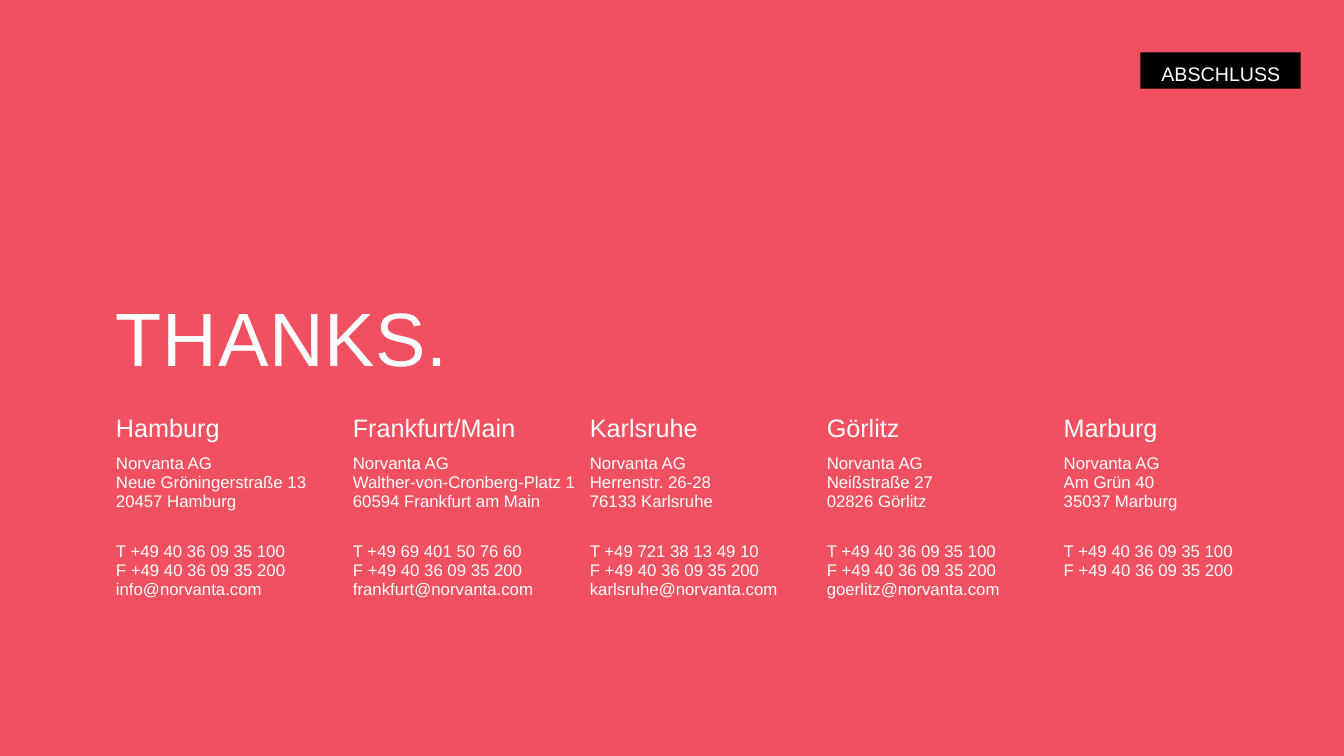
"""Build the closing slide with a thank-you title and the office addresses."""
from pptx import Presentation
from pptx.dml.color import RGBColor
from pptx.enum.shapes import MSO_SHAPE
from pptx.enum.text import MSO_ANCHOR, MSO_AUTO_SIZE, PP_ALIGN
from pptx.oxml.ns import qn
from pptx.util import Inches, Pt

RECTANGLE = MSO_SHAPE.RECTANGLE
TOP, BOTTOM = MSO_ANCHOR.TOP, MSO_ANCHOR.BOTTOM
GROW = MSO_AUTO_SIZE.SHAPE_TO_FIT_TEXT
LEFT, RIGHT = PP_ALIGN.LEFT, PP_ALIGN.RIGHT
NO_STYLE_NO_GRID = "{2D5ABB26-0587-4C30-8999-92F81FD0307C}"
CORAL, BLACK, WHITE = "F15060", "000000", "FFFFFF"
COMPANY = "Norvanta AG"
FAX = "F +49 40 36 09 35 200"


def color(value):
    """Turn a hex string into a colour."""
    return RGBColor.from_string(value)


def write(frame, lines, size, **formats):
    """Fill a text frame with one white paragraph per line."""
    for index, line in enumerate(lines):
        para = frame.paragraphs[0] if index == 0 else frame.add_paragraph()
        for name, value in formats.items():
            setattr(para, name, value)
        span = para.add_run()
        span.text = line
        for name, value in {"name": "Arial", "size": Pt(size)}.items():
            setattr(span.font, name, value)
        span.font.color.rgb = color(WHITE)


offices = [
    ("Hamburg",
     ["Neue Gröningerstraße 13", "20457 Hamburg"],
     ["T +49 40 36 09 35 100", FAX, "info@norvanta.com"]),
    ("Frankfurt/Main",
     ["Walther-von-Cronberg-Platz 1", "60594 Frankfurt am Main"],
     ["T +49 69 401 50 76 60", FAX, "frankfurt@norvanta.com"]),
    ("Karlsruhe",
     ["Herrenstr. 26-28", "76133 Karlsruhe"],
     ["T +49 721 38 13 49 10", FAX, "karlsruhe@norvanta.com"]),
    ("Görlitz",
     ["Neißstraße 27", "02826 Görlitz"],
     ["T +49 40 36 09 35 100", FAX, "goerlitz@norvanta.com"]),
    ("Marburg",
     ["Am Grün 40", "35037 Marburg"],
     ["T +49 40 36 09 35 100", FAX]),
]

deck = Presentation()
deck.slide_width, deck.slide_height = Inches(13.33), Inches(7.5)
page = deck.slides.add_slide(deck.slide_layouts[6])
page.background.fill.solid()
page.background.fill.fore_color.rgb = color(CORAL)

title = page.shapes.add_textbox(Inches(1.15), Inches(2.97), Inches(11.02), Inches(0.81))
title_format = {"word_wrap": True, "auto_size": GROW, "vertical_anchor": BOTTOM,
                "margin_left": 0, "margin_top": 0, "margin_right": 0, "margin_bottom": 0}
for name, value in title_format.items():
    setattr(title.text_frame, name, value)
write(title.text_frame, ["THANKS."], 54, line_spacing=0.8, space_after=Pt(10))
title.text_frame.paragraphs[0].runs[0].font._element.set("spc", "50")

table_frame = page.shapes.add_table(3, len(offices), Inches(1.15), Inches(4.11),
                                    Inches(11.75), Inches(1.89))
table = table_frame.table
table.first_row = table.horz_banding = False
table._tbl.tblPr.find(qn("a:tableStyleId")).text = NO_STYLE_NO_GRID
for row, height in zip(table.rows, (0.34, 0.87, 0.68)):
    row.height = Inches(height)

for column, (city, address, contact) in enumerate(offices):
    table.columns[column].width = Inches(2.35)
    blocks = [([city], 18, 0.1), ([COMPANY] + address, 12, 0.05), (contact, 12, 0.05)]
    for row, (lines, size, bottom) in enumerate(blocks):
        cell = table.cell(row, column)
        cell.fill.background()
        cell_format = {"margin_left": 0, "margin_top": 0, "margin_right": Inches(0.1),
                       "margin_bottom": Inches(bottom), "vertical_anchor": TOP}
        for name, value in cell_format.items():
            setattr(cell, name, value)
        write(cell.text_frame, lines, size, alignment=LEFT)

label = page.shapes.add_shape(RECTANGLE, Inches(11.31), Inches(0.52), Inches(1.59), Inches(0.36))
label.shadow.inherit = False
label.fill.solid()
label.fill.fore_color.rgb = color(BLACK)
label.line.fill.background()
label_format = {"word_wrap": False, "auto_size": GROW, "vertical_anchor": TOP,
                "margin_left": Inches(0.2), "margin_top": Inches(0.05),
                "margin_right": Inches(0.2), "margin_bottom": Inches(0.05)}
for name, value in label_format.items():
    setattr(label.text_frame, name, value)
write(label.text_frame, ["ABSCHLUSS"], 14, alignment=RIGHT, line_spacing=1.2, space_after=Pt(10))

deck.save("out.pptx")
